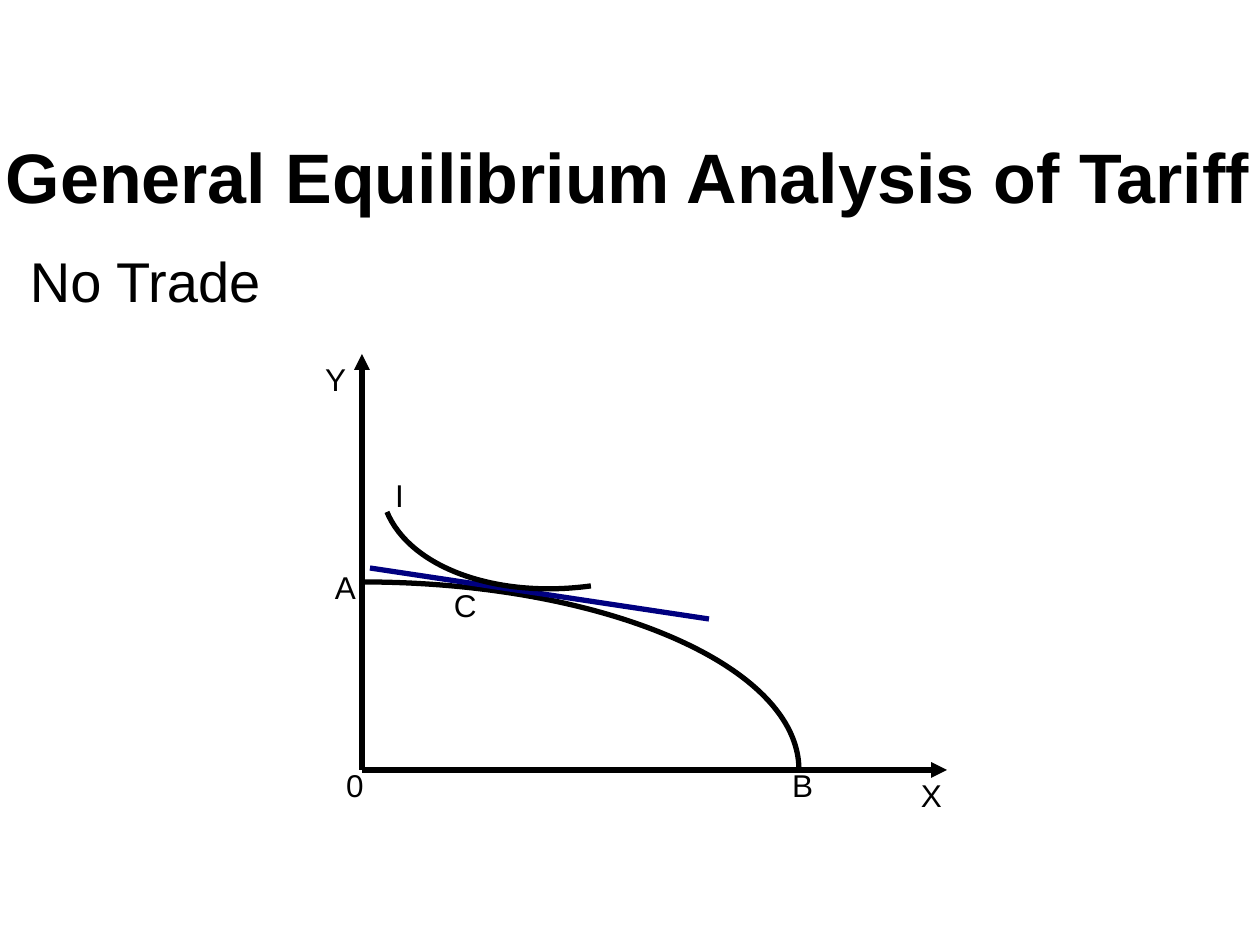
from lxml import etree
from pptx import Presentation
from pptx import util as u
from pptx.dml.color import RGBColor
from pptx.enum import dml, shapes, text
from pptx.oxml import ns

PX = 914400 / 126  # EMU in one px
BLACK, NAVY = "000000", "000080"
FONT = "Arial"

# Content, lengths in px
TITLE = ("General Equilibrium Analysis of Tariff", (-15, 137, 1285, 78))
SUBTITLE = ("No Trade", (20, 236, 1134, 530))
ORIGIN, Y_END, X_END = (362, 770), (362, 354), (947, 770)
BASE_LINE = ((362, 769), (779, 769))
PRICE_LINE = ((370, 568), (709, 619))
# Cubic curves: start, two control points, end
FRONTIER = [(362, 582), (604, 582), (799, 666), (799, 770)]
INDIFFERENCE = [(591, 586), (495, 599), (410, 567), (387, 512)]
LABELS = [  # text, left, top, width
    ("A", 322, 562, 45), ("I", 382, 470, 34), ("Y", 312, 354, 45),
    ("0", 333, 760, 43), ("B", 779, 760, 45), ("X", 908, 770, 45),
    ("C", 441, 580, 48),
]
LABEL_HEIGHT = 50


def px(n):
    return u.Emu(round(n * PX))


def rgb(color):
    return RGBColor.from_string(color)


def write(sp, words, size, bold=False, align=text.PP_ALIGN.LEFT,
          anchor=text.MSO_ANCHOR.TOP, wrap=True, insets=(13, 6)):
    tf = sp.text_frame
    tf.word_wrap = wrap
    tf.auto_size = text.MSO_AUTO_SIZE.NONE
    tf.vertical_anchor = anchor
    tf.margin_left = tf.margin_right = px(insets[0])
    tf.margin_top = tf.margin_bottom = px(insets[1])
    p = tf.paragraphs[0]
    p.alignment = align
    r = p.add_run()
    r.text = words
    r.font.name, r.font.size, r.font.bold = FONT, u.Pt(size), bold
    r.font.color.rgb = rgb(color=BLACK)


def add_line(slide, start, end, color=BLACK, width=3, arrow=False, dash=None):
    line = slide.shapes.add_connector(
        shapes.MSO_CONNECTOR.STRAIGHT, *map(px, start + end))
    line.line.color.rgb = rgb(color)
    line.line.width = u.Pt(width)
    if dash:
        line.line.dash_style = dash
    if arrow:
        etree.SubElement(line.line._get_or_add_ln(), ns.qn("a:tailEnd"),
                         type="triangle")
    etree.SubElement(line._element.spPr, ns.qn("a:effectLst"))


def add_curve(slide, points):
    builder = slide.shapes.build_freeform(*points[0], scale=PX)
    builder.add_line_segments(points[1:], close=False)
    sp = builder.convert_to_shape()
    sp.fill.background()
    sp.line.color.rgb = rgb(BLACK)
    sp.line.width = u.Pt(3)
    sp.shadow.inherit = False
    # Join the three segments into one cubic curve
    outline = next(sp._element.iter(ns.qn("a:path")))
    curve = etree.SubElement(outline, ns.qn("a:cubicBezTo"))
    for segment in outline.findall(ns.qn("a:lnTo")):
        curve.append(segment[0])
        outline.remove(segment)


def main():
    prs = Presentation()
    prs.slide_width, prs.slide_height = u.Inches(10), u.Inches(7.5)
    slide = prs.slides.add_slide(prs.slide_layouts[5])

    # Title and subtitle
    words, box = TITLE
    title = slide.shapes.title
    title.left, title.top, title.width, title.height = map(px, box)
    write(title, words, 40, bold=True, align=text.PP_ALIGN.CENTER,
          anchor=text.MSO_ANCHOR.MIDDLE, insets=(0, 0))
    words, box = SUBTITLE
    write(slide.shapes.add_textbox(*map(px, box)), words, 32, insets=(10, 11))

    # Axes
    for end in (Y_END, X_END):
        add_line(slide, ORIGIN, end, arrow=True)
    add_line(slide, *BASE_LINE, width=0.75, dash=dml.MSO_LINE.LONG_DASH)

    # Curves and the price line
    add_curve(slide, FRONTIER)
    add_line(slide, *PRICE_LINE, color=NAVY)
    add_curve(slide, INDIFFERENCE)

    # Point labels
    for words, left, top, width in LABELS:
        box = (left, top, width, LABEL_HEIGHT)
        write(slide.shapes.add_textbox(*map(px, box)), words, 18, wrap=False)

    prs.save("out.pptx")


if __name__ == "__main__":
    main()
